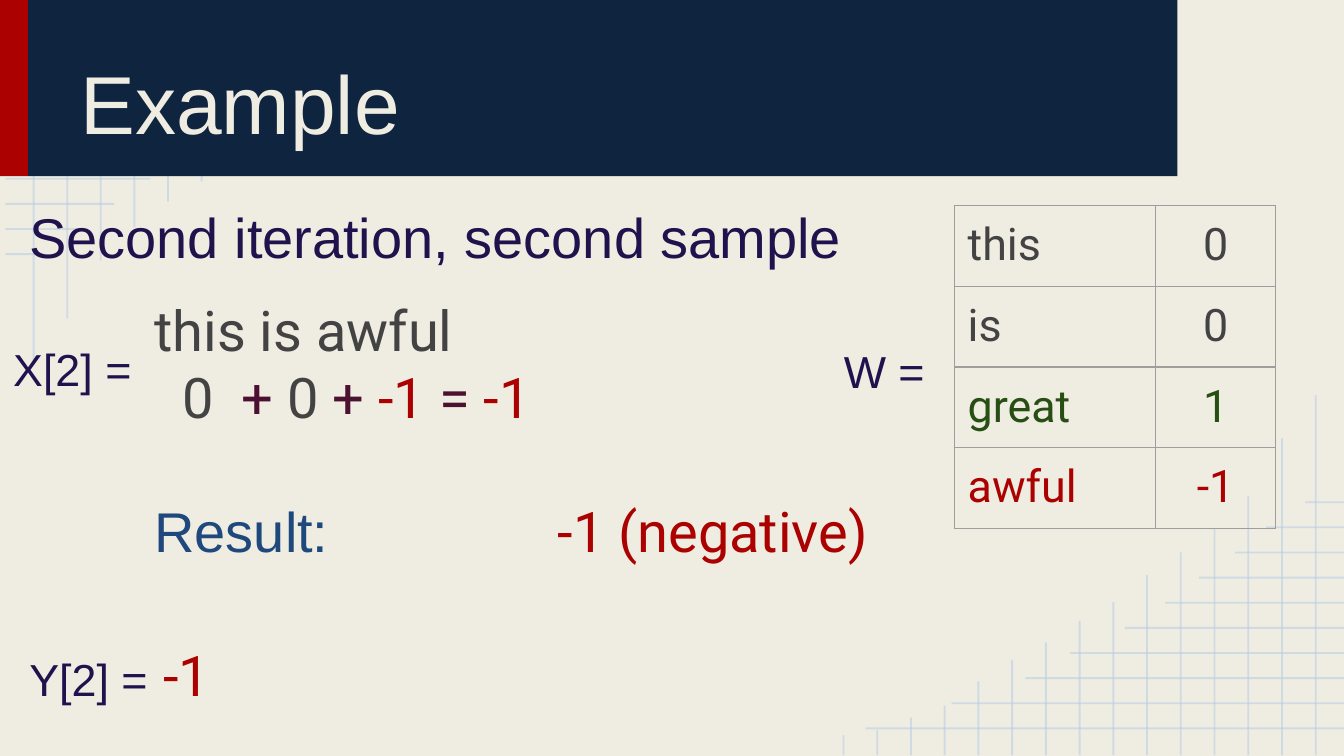
from lxml import etree
from pptx import Presentation
from pptx.dml.color import RGBColor
from pptx.enum.shapes import MSO_CONNECTOR, MSO_SHAPE
from pptx.enum.text import MSO_ANCHOR, PP_ALIGN
from pptx.oxml import parse_xml
from pptx.oxml.ns import nsdecls, qn
from pptx.util import Inches, Pt

LINE, RECT = MSO_CONNECTOR.STRAIGHT, MSO_SHAPE.RECTANGLE
TOP, MID, LOW = MSO_ANCHOR.TOP, MSO_ANCHOR.MIDDLE, MSO_ANCHOR.BOTTOM
LEFT, CENTER = PP_ALIGN.LEFT, PP_ALIGN.CENTER

HUES = {
    "cream": "EFEDE2", "grid": "B7CCE4", "red": "AB0101", "navy": "0F243E",
    "violet": "20124D", "gray": "434343", "green": "274E13",
    "plum": "4C1130", "blue": "1F497D", "border": "9E9E9E",
}
HUE = {name: RGBColor.from_string(code) for name, code in HUES.items()}

deck = Presentation()
deck.slide_width = Inches(10)
deck.slide_height = deck.slide_width * 9 // 16
slide = deck.slides.add_slide(deck.slide_layouts[6])
slide.background.fill.solid()
slide.background.fill.fore_color.rgb = HUE["cream"]


def add_run(para, text, size, font, hue):
    run = para.add_run()
    run.text = text
    run.font.size = Pt(size)
    run.font.name = font
    run.font.color.rgb = HUE[hue]
    return run


def add_box(left, top, width, height, anchor):
    box = slide.shapes.add_textbox(Inches(left), Inches(top), Inches(width), Inches(height))
    frame = box.text_frame
    frame.word_wrap = True
    frame.vertical_anchor = anchor
    frame.margin_left = frame.margin_right = Inches(0.1)
    frame.margin_top = frame.margin_bottom = Inches(0.1)
    return frame


lines = []
for i, end in enumerate([1.12, 0.85, 0.62, 0.32]):
    y = 1.33 + 0.187 * i
    lines.append((0.04, y, end, y))
for i, end in enumerate([2.68, 2.37, 1.94, 1.69, 1.5, 1.35]):
    x = 0.25 * (i + 1)
    lines.append((x, end, x, 0))
for i, start in enumerate([6.44, 7.08, 7.63, 7.96, 8.37, 8.67, 8.92, 9.19, 9.42, 9.71]):
    y = 5.42 - 0.187 * i
    lines.append((10, y, start, y))
for i, start in enumerate([2.94, 3.26, 3.69, 3.93, 4.11, 4.28, 4.48, 4.62,
                           4.78, 4.91, 5.07, 5.25, 5.34, 5.43, 5.47]):
    x = 9.79 - 0.251 * i
    lines.append((x, start, x, 5.62))
for ends in lines:
    line = slide.shapes.add_connector(LINE, *[Inches(end) for end in ends])
    line.line.color.rgb = HUE["grid"]
    line.line.width = Pt(1)
    props = line._element.spPr
    tint = props.find(".//" + qn("a:srgbClr"))
    etree.SubElement(tint, qn("a:alpha")).set("val", "54000")
    etree.SubElement(props, qn("a:effectLst"))

for left, width, hue in [(0, 0.21, "red"), (0.21, 8.55, "navy")]:
    bar = slide.shapes.add_shape(RECT, Inches(left), Inches(-0.01), Inches(width), Inches(1.32))
    bar.shadow.inherit = False
    bar.fill.solid()
    bar.fill.fore_color.rgb = HUE[hue]
    bar.line.fill.background()

for place, anchor, space, text, size, hue in [
    ((0.5, 0.11, 8, 1.11), LOW, 1, "Example", 44, "cream"),
    ((0.12, 1.41, 6.77, 0.63), TOP, 1, "Second iteration, second sample", 30, "violet"),
    ((6.18, 1.78, 1.09, 1.89), MID, 1.15, "W =", 24, "violet"),
    ((0, 2.14, 1.09, 1.14), MID, 1.15, "X[2] =", 24, "violet"),
    ((0.12, 4.46, 2.62, 1.04), MID, 1.15, "Y[2] =", 24, "violet"),
]:
    para = add_box(*place, anchor).paragraphs[0]
    para.line_spacing = space
    add_run(para, text, size, "Arial", hue)
add_run(para, " ", 30, "Arial", "violet")
add_run(para, "-1", 30, "Roboto", "red")

words = [("this", "0", "gray"), ("is", "0", "gray"),
         ("great", "1", "green"), ("awful", "-1", "red")]
table = slide.shapes.add_table(4, 2, Inches(7.1), Inches(1.53), Inches(2.39), Inches(1.68)).table
table.first_row = table.horz_banding = False
table.columns[0].width, table.columns[1].width = Inches(1.5), Inches(0.89)
for r, (word, weight, hue) in enumerate(words):
    table.rows[r].height = Inches(0.42)
    for c, (text, align) in enumerate([(word, LEFT), (weight, CENTER)]):
        cell = table.cell(r, c)
        cell.margin_left = cell.margin_right = Inches(0.1)
        cell.margin_top = cell.margin_bottom = Inches(0.1)
        para = cell.text_frame.paragraphs[0]
        para.alignment = align
        add_run(para, text, 24, "Roboto", hue)
        props = cell._tc.get_or_add_tcPr()
        for side in ["lnL", "lnR", "lnT", "lnB"]:
            props.append(parse_xml(
                f'<a:{side} {nsdecls("a")} w="{Pt(0.75)}"><a:solidFill>'
                f'<a:srgbClr val="{HUES["border"]}"/></a:solidFill></a:{side}>'))
        cell.fill.background()

frame = add_box(1.05, 2.1, 6.18, 2.22, TOP)
add_run(frame.paragraphs[0], "this is awful", 30, "Roboto", "gray")

total = frame.add_paragraph()
total._p.get_or_add_pPr().set("marL", str(Inches(0.21)))
total._p.get_or_add_pPr().set("indent", "0")
add_run(total, "0", 30, "Roboto", "gray")
gap = add_run(total, " ", 30, "Roboto", "plum")
gap.font._element.set("spc", "740")
for text, hue in [("+ ", "plum"), ("0", "gray"), (" + ", "plum"),
                  ("-1", "red"), (" = ", "plum"), ("-1", "red")]:
    add_run(total, text, 30, "Roboto", hue)

result = frame.add_paragraph()
result.space_before = Pt(35.5)
tabs = etree.SubElement(result._p.get_or_add_pPr(), qn("a:tabLst"))
for stop in [2, 3]:
    etree.SubElement(tabs, qn("a:tab"), pos=str(Inches(stop)), algn="l")
add_run(result, "Result:\t\t", 30, "Arial", "blue")
add_run(result, "-1 (negative)", 30, "Roboto", "red")

deck.save("out.pptx")
